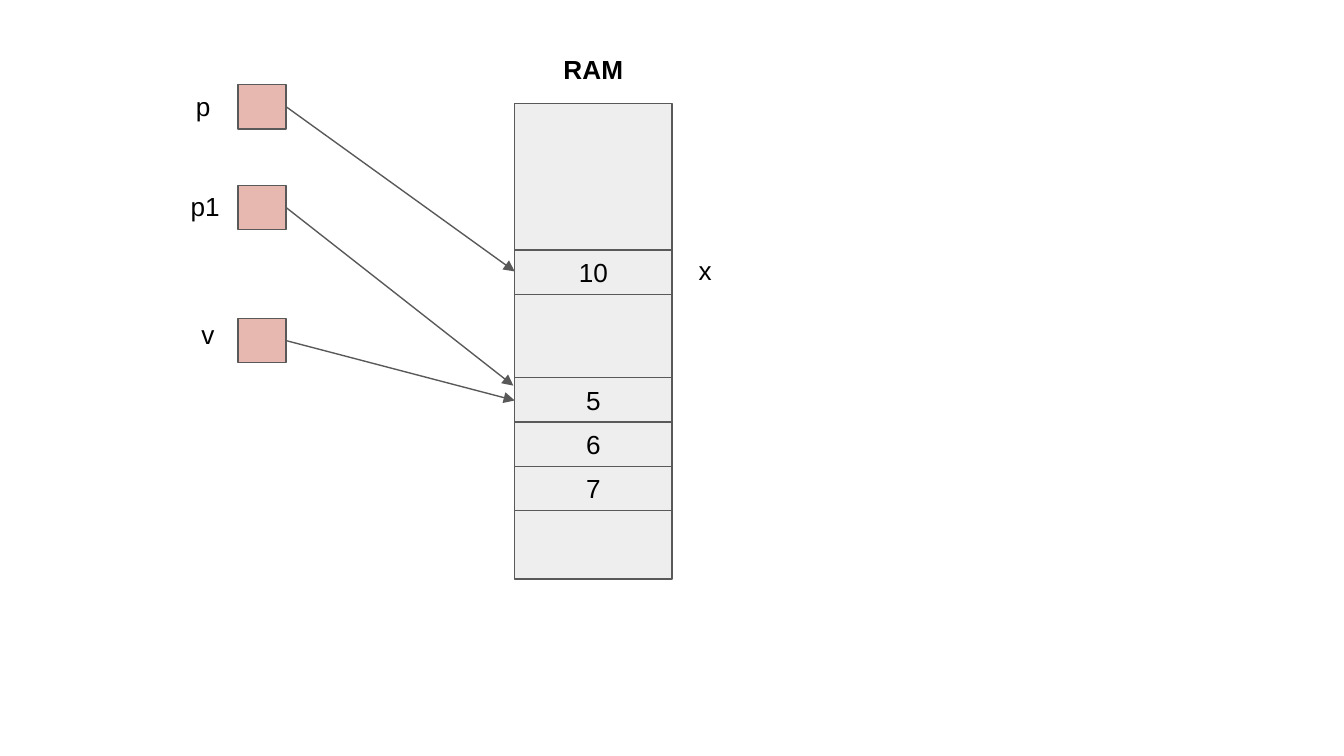
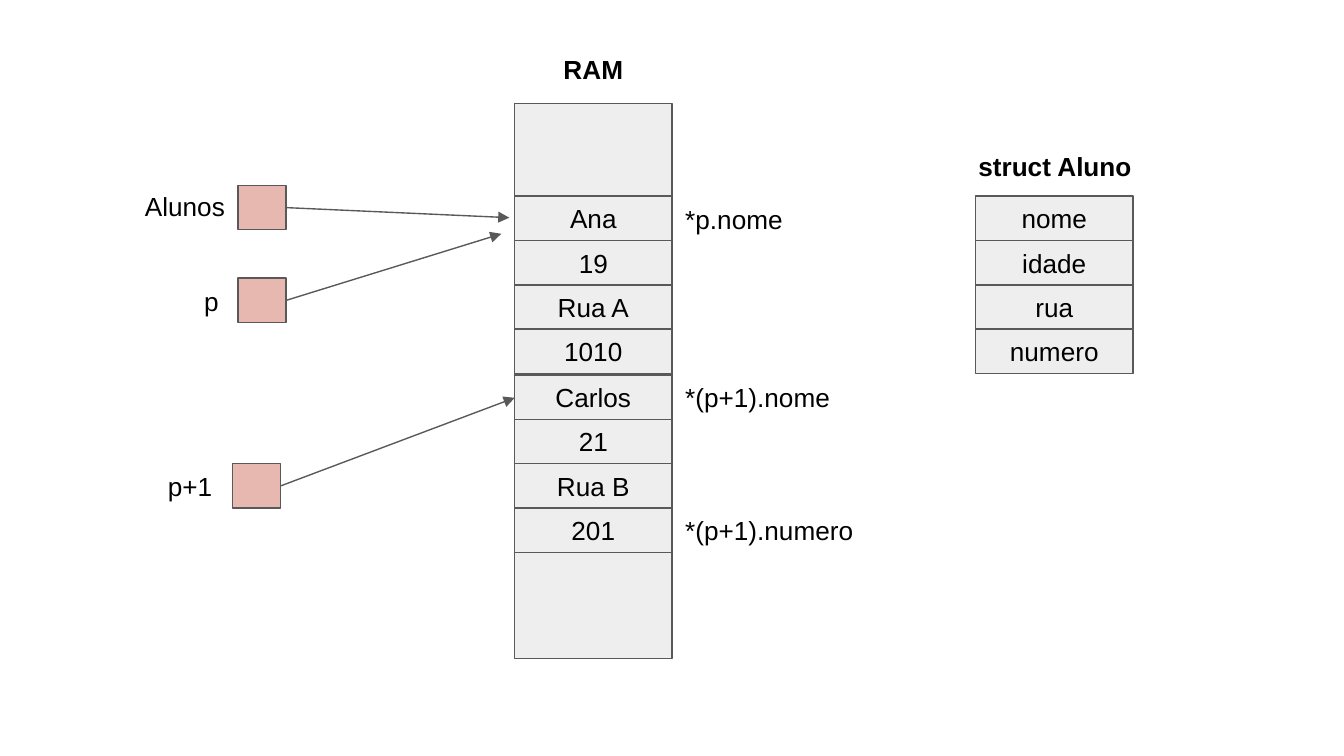
from dataclasses import dataclass

from lxml import etree
from pptx import Presentation
from pptx import util as u
from pptx.dml.color import RGBColor
from pptx.enum import shapes, text
from pptx.oxml import ns


@dataclass(frozen=True)
class Theme:
    memory: RGBColor = RGBColor(0xEE, 0xEE, 0xEE)
    pointer: RGBColor = RGBColor(0xE6, 0xB8, 0xAF)
    outline: RGBColor = RGBColor(0x59, 0x59, 0x59)
    ink: RGBColor = RGBColor(0, 0, 0)
    font: str = "Arial"
    size: u.Pt = u.Pt(14)
    stroke: u.Pt = u.Pt(0.75)


theme = Theme()

# Shared measures, in inches
RAM_LEFT, RAM_TOP = 3.83, 0.77
CELL_W, CELL_H = 1.17, 0.33
POINTER_W = 0.36
LABEL_H = 0.44


def write(frame, words, centred=False, bold=False):
    frame.word_wrap = True
    frame.margin_left = frame.margin_right = u.Inches(0.1)
    frame.margin_top = frame.margin_bottom = u.Inches(0.1)
    paragraph = frame.paragraphs[0]
    paragraph.alignment = text.PP_ALIGN.CENTER if centred else text.PP_ALIGN.LEFT
    run = paragraph.add_run()
    run.text = words
    run.font.name, run.font.size, run.font.bold = theme.font, theme.size, bold
    run.font.color.rgb = theme.ink


def add_box(slide, left, top, width, height, fill, words=""):
    box = slide.shapes.add_shape(
        shapes.MSO_SHAPE.RECTANGLE, *map(u.Inches, (left, top, width, height)))
    box.shadow.inherit = False
    box.fill.solid()
    box.fill.fore_color.rgb = fill
    box.line.color.rgb = theme.outline
    box.line.width = theme.stroke
    if words:
        box.text_frame.vertical_anchor = text.MSO_ANCHOR.MIDDLE
        write(box.text_frame, words, centred=True)


# Content of each diagram
# blocks: left, top of first cell, cell values
# pointers: box left, box top, arrow tip
# labels and headings: left, top, width, words
diagrams = [
    {
        "ram_height": 3.54,
        "blocks": [(RAM_LEFT, 1.86, ["10"]),
                   (RAM_LEFT, 2.81, ["5", "6", "7"])],
        "pointers": [(1.77, 0.63, (3.83, 2.02)),
                     (1.77, 1.38, (3.82, 2.87)),
                     (1.77, 2.37, (3.83, 2.98))],
        "labels": [(1.36, 0.57, 0.44, "p"),
                   (1.32, 1.32, 0.44, "p1"),
                   (1.4, 2.27, 0.36, "v"),
                   (5.1, 1.79, 0.36, "x")],
        "headings": [(RAM_LEFT, 0.3, CELL_W, "RAM")],
    },
    {
        "ram_height": 4.13,
        "blocks": [(RAM_LEFT, 1.46, ["Ana", "19", "Rua A", "1010"]),
                   (RAM_LEFT, 2.79, ["Carlos", "21", "Rua B", "201"]),
                   (7.26, 1.46, ["nome", "idade", "rua", "numero"])],
        "pointers": [(1.77, 1.38, (3.79, 1.62)),
                     (1.77, 2.07, (3.73, 1.74)),
                     (1.73, 3.45, (3.83, 2.96))],
        "labels": [(0.98, 1.32, 0.87, "Alunos"),
                   (1.42, 2.02, 0.35, "p"),
                   (1.15, 3.4, 0.58, "p+1"),
                   (5, 1.41, 1.04, "*p.nome"),
                   (5, 2.74, 1.32, "*(p+1).nome"),
                   (5, 3.73, 1.76, "*(p+1).numero")],
        "headings": [(RAM_LEFT, 0.3, CELL_W, "RAM"),
                     (7.06, 1.02, 1.58, "struct Aluno")],
    },
]

# Widescreen page, 16:9
deck = Presentation()
deck.slide_width = u.Inches(10)
deck.slide_height = u.Inches(10 * 9 / 16)

for diagram in diagrams:
    slide = deck.slides.add_slide(deck.slide_layouts[6])

    # Memory column and its cells
    add_box(slide, RAM_LEFT, RAM_TOP, CELL_W, diagram["ram_height"], theme.memory)
    for left, top, values in diagram["blocks"]:
        for row, value in enumerate(values):
            add_box(slide, left, top + row * CELL_H, CELL_W, CELL_H,
                    theme.memory, value)

    # Pointer boxes, each with an arrow to the cell it addresses
    for left, top, (tip_x, tip_y) in diagram["pointers"]:
        add_box(slide, left, top, POINTER_W, CELL_H, theme.pointer)
        arrow = slide.shapes.add_connector(
            shapes.MSO_CONNECTOR.STRAIGHT,
            u.Inches(left + POINTER_W), u.Inches(top + CELL_H / 2),
            u.Inches(tip_x), u.Inches(tip_y))
        arrow.line.color.rgb = theme.outline
        arrow.line.width = theme.stroke
        properties = arrow._element.spPr
        etree.SubElement(properties.find(ns.qn("a:ln")), ns.qn("a:tailEnd"),
                         type="triangle", w="med", len="med")
        etree.SubElement(properties, ns.qn("a:effectLst"))

    # Names beside the boxes and bold headings above the columns
    for kind in ("labels", "headings"):
        heading = kind == "headings"
        for left, top, width, words in diagram[kind]:
            caption = slide.shapes.add_textbox(
                *map(u.Inches, (left, top, width, LABEL_H)))
            write(caption.text_frame, words, centred=heading, bold=heading)
            caption.text_frame.auto_size = text.MSO_AUTO_SIZE.SHAPE_TO_FIT_TEXT

deck.save("out.pptx")
